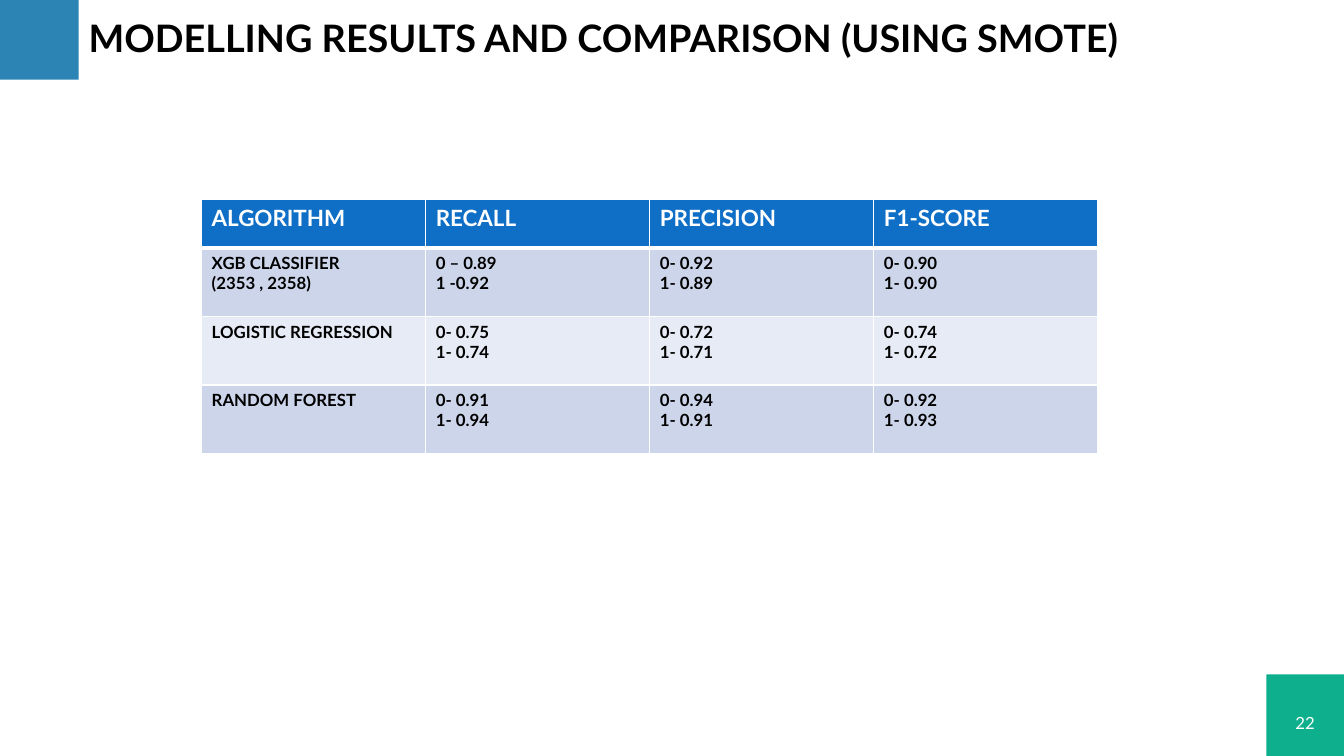
from dataclasses import dataclass

from lxml.etree import SubElement
from pptx import Presentation
from pptx.dml.color import RGBColor
from pptx.enum.shapes import MSO_SHAPE
from pptx.enum.text import MSO_ANCHOR, PP_ALIGN
from pptx.oxml.ns import qn
from pptx.slide import Slide
from pptx.table import _Cell
from pptx.text.text import TextFrame
from pptx.util import Inches, Pt


@dataclass(frozen=True)
class Theme:
    font: str = "Lato"
    black: str = "000000"
    white: str = "FFFFFF"
    title_accent: str = "2C84B4"
    number_accent: str = "0EAF8D"
    header_fill: str = "0F6FC6"
    band_fills: tuple[str, str] = ("CCD5EA", "E7EBF5")
    title_size: int = 27
    header_size: int = 16
    body_size: int = 12
    thin_border: int = 1
    header_border: int = 3


@dataclass(frozen=True)
class Box:
    left: float
    top: float
    width: float
    height: float

    def emu(self) -> tuple[int, int, int, int]:
        return (Inches(self.left), Inches(self.top),
                Inches(self.width), Inches(self.height))


@dataclass(frozen=True)
class Accent:
    box: Box
    color: str


@dataclass(frozen=True)
class ModelResult:
    algorithm: str
    recall: str
    precision: str
    f1_score: str

    def cells(self) -> tuple[str, ...]:
        return self.algorithm, self.recall, self.precision, self.f1_score


THEME = Theme()
TITLE_BOX = Box(0.78, 0, 11.5, 0.79)
NUMBER_BOX = Box(12.62, 6.97, 0.65, 0.4)
TABLE_BOX = Box(2, 1.98, 8.89, 2.52)
HEADER_HEIGHT = 0.48
ACCENTS = (
    Accent(Box(0, 0, 0.78, 0.79), THEME.title_accent),
    Accent(Box(12.56, 6.69, 0.78, 0.81), THEME.number_accent),
)
HEADERS = ("ALGORITHM", "RECALL", "PRECISION", "F1-SCORE")
RESULTS = (
    ModelResult("XGB CLASSIFIER\n(2353 , 2358)", "0 – 0.89\n1 -0.92",
                "0- 0.92\n1- 0.89", "0- 0.90\n1- 0.90"),
    ModelResult("LOGISTIC REGRESSION", "0- 0.75\n1- 0.74",
                "0- 0.72\n1- 0.71", "0- 0.74\n1- 0.72"),
    ModelResult("RANDOM FOREST", "0- 0.91\n1- 0.94",
                "0- 0.94\n1- 0.91", "0- 0.92\n1- 0.93"),
)


def write_text(frame: TextFrame, text: str, *, size: int, color: str,
               bold: bool = False, align: PP_ALIGN = PP_ALIGN.LEFT,
               anchor: MSO_ANCHOR = MSO_ANCHOR.TOP,
               line_spacing: float = 1.0) -> None:
    """Write each line of the text as a formatted paragraph."""
    frame.text = text
    frame.word_wrap = True
    frame.vertical_anchor = anchor
    for paragraph in frame.paragraphs:
        paragraph.alignment = align
        paragraph.line_spacing = line_spacing
        for run in paragraph.runs:
            run.font.name = THEME.font
            run.font.size = Pt(size)
            run.font.bold = bold
            run.font.color.rgb = RGBColor.from_string(color)


def add_accent(slide: Slide, accent: Accent) -> None:
    square = slide.shapes.add_shape(MSO_SHAPE.RECTANGLE, *accent.box.emu())
    square.shadow.inherit = False
    square.fill.solid()
    square.fill.fore_color.rgb = RGBColor.from_string(accent.color)
    square.line.fill.background()


def set_borders(cell: _Cell, *, top: int, bottom: int) -> None:
    """Give the cell white borders, thin at the sides; widths in points."""
    widths = {"a:lnL": THEME.thin_border, "a:lnR": THEME.thin_border,
              "a:lnT": top, "a:lnB": bottom}
    properties = cell._tc.get_or_add_tcPr()
    for position, (side, width) in enumerate(widths.items()):
        border = SubElement(properties, qn(side), w=str(Pt(width)))
        fill = SubElement(border, qn("a:solidFill"))
        SubElement(fill, qn("a:srgbClr"), val=THEME.white)
        properties.insert(position, border)


def add_results_table(slide: Slide) -> None:
    rows = (HEADERS, *(result.cells() for result in RESULTS))
    table = slide.shapes.add_table(
        len(rows), len(HEADERS), *TABLE_BOX.emu()).table
    table.horz_banding = False
    for column in table.columns:
        column.width = Inches(TABLE_BOX.width / len(HEADERS))
    body_height = (TABLE_BOX.height - HEADER_HEIGHT) / len(RESULTS)

    for row_index, values in enumerate(rows):
        is_header = row_index == 0
        table.rows[row_index].height = Inches(
            HEADER_HEIGHT if is_header else body_height)
        row_fill = (THEME.header_fill if is_header
                    else THEME.band_fills[(row_index - 1) % 2])
        for column_index, value in enumerate(values):
            cell = table.cell(row_index, column_index)
            cell.fill.solid()
            cell.fill.fore_color.rgb = RGBColor.from_string(row_fill)
            set_borders(
                cell,
                top=THEME.header_border if row_index == 1 else THEME.thin_border,
                bottom=THEME.header_border if is_header else THEME.thin_border)
            write_text(cell.text_frame, value, bold=True,
                       size=THEME.header_size if is_header else THEME.body_size,
                       color=THEME.white if is_header else THEME.black)


def main() -> None:
    deck = Presentation()
    deck.slide_width, deck.slide_height = Inches(13.33), Inches(7.5)
    slide = deck.slides.add_slide(deck.slide_layouts.get_by_name("Title Only"))

    for accent in ACCENTS:
        add_accent(slide, accent)

    title = slide.shapes.title
    title.left, title.top, title.width, title.height = TITLE_BOX.emu()
    write_text(title.text_frame,
               "MODELLING RESULTS AND COMPARISON (USING SMOTE)",
               size=THEME.title_size, color=THEME.black, bold=True,
               anchor=MSO_ANCHOR.MIDDLE, line_spacing=0.9)

    slide_number = slide.shapes.add_textbox(*NUMBER_BOX.emu())
    write_text(slide_number.text_frame, "22", size=THEME.body_size,
               color=THEME.white, align=PP_ALIGN.CENTER,
               anchor=MSO_ANCHOR.MIDDLE)

    add_results_table(slide)
    deck.save("out.pptx")


if __name__ == "__main__":
    main()
